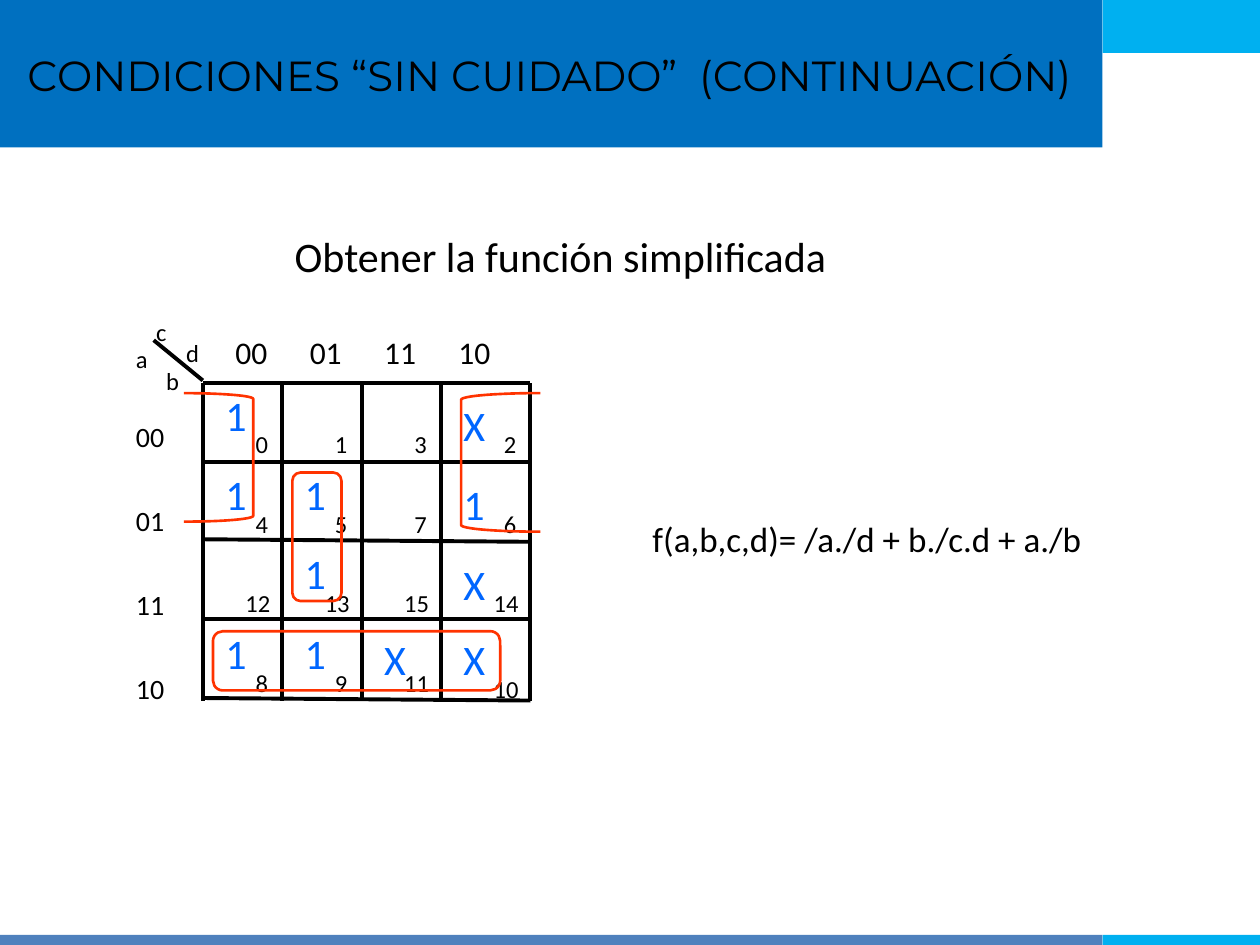
import pptx
import pptx.util
import pptx.dml.color
import pptx.enum.shapes
import pptx.enum.text
import pptx.oxml.ns
from dataclasses import dataclass
from lxml import etree
from pptx.util import Inches

SHAPES = pptx.enum.shapes.MSO_SHAPE
ALIGN = pptx.enum.text.PP_ALIGN
ANCHOR = pptx.enum.text.MSO_ANCHOR
qn = pptx.oxml.ns.qn


@dataclass(frozen=True)
class Theme:
    title_font: str = "Montserrat"
    body_font: str = "Calibri"
    ink: str = "000000"
    banner: str = "0070C0"
    accent: str = "00B0F0"
    footer: str = "4F81BD"
    mark: str = "0066FF"
    loop: str = "FF3300"
    heading: int = 24
    formula: int = 20
    column: int = 18
    row: int = 16
    small: int = 14
    grid_line: float = 2.25
    loop_line: float = 1.5


THEME = Theme()


def rgb(value):
    return pptx.dml.color.RGBColor.from_string(value)


def add_text(slide, text, left, top, width, height, size, font=THEME.body_font,
             color=THEME.ink, align=ALIGN.LEFT, anchor=ANCHOR.TOP,
             spacing=None, tab_step=None):
    """Write text, one paragraph per line; tab_step spaces its tab stops evenly."""
    box = slide.shapes.add_textbox(Inches(left), Inches(top), Inches(width), Inches(height))
    frame = box.text_frame
    frame.word_wrap = True
    frame.vertical_anchor = anchor
    frame.text = text
    for paragraph in frame.paragraphs:
        paragraph.alignment = align
        if spacing:
            paragraph.line_spacing = spacing
        if tab_step:
            stops = etree.SubElement(paragraph._p.get_or_add_pPr(), qn("a:tabLst"))
            for number in range(1, text.count("\t") + 1):
                etree.SubElement(stops, qn("a:tab"), algn="l",
                                 pos=str(Inches(tab_step * number)))
        for run in paragraph.runs:
            run.font.name = font
            run.font.size = pptx.util.Pt(size)
            run.font.color.rgb = rgb(color)


def add_bar(slide, left, top, width, height, color):
    bar = slide.shapes.add_shape(SHAPES.RECTANGLE, Inches(left), Inches(top),
                                 Inches(width), Inches(height))
    bar.shadow.inherit = False
    bar.fill.solid()
    bar.fill.fore_color.rgb = rgb(color)
    bar.line.fill.background()


def add_grid_line(slide, x1, y1, x2, y2):
    line = slide.shapes.add_connector(pptx.enum.shapes.MSO_CONNECTOR.STRAIGHT,
                                      Inches(x1), Inches(y1), Inches(x2), Inches(y2))
    line.line.color.rgb = rgb(THEME.ink)
    line.line.width = pptx.util.Pt(THEME.grid_line)
    etree.SubElement(line._element.spPr, qn("a:effectLst"))


def add_loop(slide, kind, left, top, width, height):
    loop = slide.shapes.add_shape(kind, Inches(left), Inches(top),
                                  Inches(width), Inches(height))
    loop.shadow.inherit = False
    loop.fill.background()
    loop.line.color.rgb = rgb(THEME.loop)
    loop.line.width = pptx.util.Pt(THEME.loop_line)


def draw_frame(slide, left, top, width, height):
    """Banner, footer strip and title."""
    split, strip = 8.75, 0.08
    side = width - split
    add_bar(slide, left, top, split, 1.17, THEME.banner)
    add_bar(slide, left + split, top, side, 0.42, THEME.accent)
    add_bar(slide, left, top + height - strip, split, strip, THEME.footer)
    add_bar(slide, left + split, top + height - strip, side, strip, THEME.accent)
    add_text(slide, "CONDICIONES “SIN CUIDADO”  (CONTINUACIÓN)",
             left + 0.11, top + 0.11, 8.5, 0.97, THEME.heading,
             font=THEME.title_font, align=ALIGN.CENTER, anchor=ANCHOR.MIDDLE)


def draw_map_axes(slide, left, top):
    """Variable names and Gray-code labels around the map."""
    add_grid_line(slide, left - 0.39, top - 0.34, left, top - 0.02)
    for name, dx, dy in (("c", -0.47, -0.57), ("d", -0.23, -0.41),
                         ("a", -0.63, -0.36), ("b", -0.39, -0.18)):
        add_text(slide, name, left + dx, top + dy, 0.47, 0.34, THEME.small)
    codes = ("00", "01", "11", "10")
    add_text(slide, "\n".join(codes), left - 0.63, top - 0.16, 0.55, 2.77,
             THEME.row, spacing=2.5)
    add_text(slide, "\t".join(codes), left + 0.16, top - 0.45, 2.52, 0.4,
             THEME.column, tab_step=0.59)


def draw_map(slide, left, top, width, height):
    """Karnaugh map: grid, minterm numbers, marks and loops."""
    step = 0.63
    tilt = 0.02
    edges = [step * i for i in range(4)] + [width]
    for x in edges:
        add_grid_line(slide, left + x, top, left + x, top + height)
    # Row lines; the middle and the last one slope a little
    for y, drop in ((0, 0), (step, 0), (1.24, tilt), (1.87, 0), (height - tilt, tilt)):
        add_grid_line(slide, left, top + y, left + width, top + y + drop)
    draw_map_axes(slide, left, top)

    # Each row: minterm numbers and marks, left to right
    rows = (((0, 1, 3, 2), "1  X"),
            ((4, 5, 7, 6), "11 1"),
            ((12, 13, 15, 14), " 1 X"),
            ((8, 9, 11, 10), "11XX"))
    for row, (minterms, marks) in enumerate(rows):
        y = top + step * row
        for column, (minterm, mark) in enumerate(zip(minterms, marks)):
            inset = 0.31 if minterm < 10 else 0.39
            drop = 0.05 if minterm == 10 else 0
            add_text(slide, str(minterm), left + edges[column + 1] - inset,
                     y + 0.32 + drop, 0.47, 0.34, THEME.small)
            if mark != " ":
                drop = 0 if column < 2 else 0.05 if row == 3 else 0.08
                add_text(slide, mark, left + edges[column] + 0.08, y + drop,
                         0.55, 0.5, THEME.heading, color=THEME.mark)

    # Groups of the simplified terms
    for kind, x, y, loop_width, loop_height in (
            (SHAPES.ROUNDED_RECTANGLE, 0.08, 1.97, 2.28, 0.47),
            (SHAPES.ROUNDED_RECTANGLE, 0.71, 0.71, 0.39, 1.02),
            (SHAPES.LEFT_BRACKET, 2.05, 0.08, 0.63, 1.1),
            (SHAPES.RIGHT_BRACKET, -0.15, 0.08, 0.55, 1.02)):
        add_loop(slide, kind, left + x, top + y, loop_width, loop_height)


def main():
    deck = pptx.Presentation()
    deck.slide_width, deck.slide_height = Inches(10), Inches(7.5)
    slide = deck.slides.add_slide(deck.slide_layouts[6])
    draw_frame(slide, 0, 0, 10, 7.5)
    add_text(slide, "Obtener la función simplificada", 2.24, 1.78, 5.12, 0.5, THEME.heading)
    draw_map(slide, 1.61, 3.04, 2.6, 2.52)
    add_text(slide, "f(a,b,c,d)= /a./d + b./c.d + a./b", 5.08, 4.06, 4.17, 0.44, THEME.formula)
    deck.save("out.pptx")


if __name__ == "__main__":
    main()
